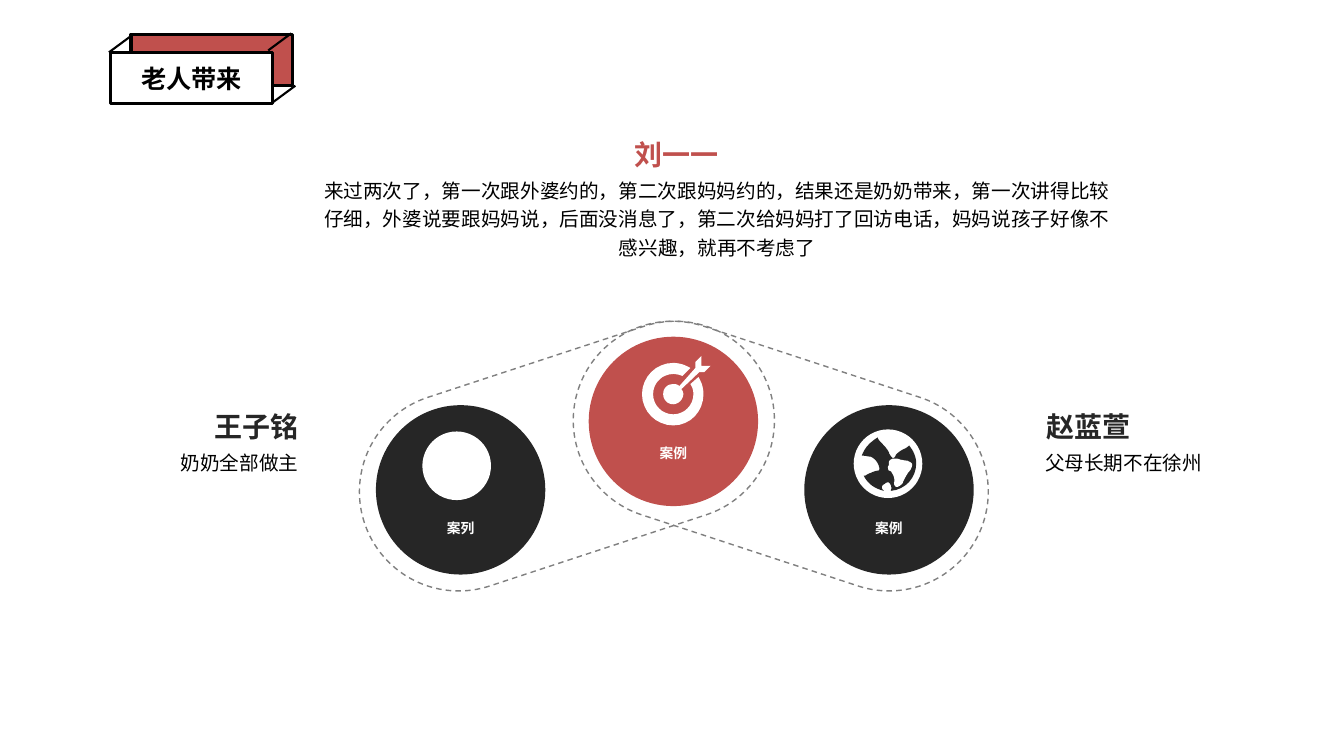
"""Build the slide of family case examples around three linked circles."""
from lxml.etree import SubElement
from pptx import Presentation
from pptx.dml.color import RGBColor
from pptx.enum.dml import MSO_LINE
from pptx.enum.shapes import MSO_CONNECTOR, MSO_SHAPE
from pptx.enum.text import MSO_ANCHOR, PP_ALIGN
from pptx.oxml.ns import qn
from pptx.util import Pt

FONT = "Noto Sans CJK SC"
RED, DARK, WHITE, BLACK, GREY = "C0504D", "262626", "FFFFFF", "000000", "808080"
LEFT, CENTER, RIGHT = PP_ALIGN.LEFT, PP_ALIGN.CENTER, PP_ALIGN.RIGHT

TITLE = "老人带来"
CIRCLE_SIZE = 121
CIRCLES = [
    ("案例", 481, 240.5, 317.5, RED),
    ("案列", 329, 289.4, 371.5, DARK),
    ("案例", 635, 289.4, 371.5, DARK),
]
CAPSULES = [(252.7, -18.2), (405.4, 18.2)]
CASES = [
    ("赵蓝萱", DARK, (740.2, 288.7), "父母长期不在徐州", (739.4, 315.4, 173.5), LEFT),
    ("王子铭", DARK, (115.9, 288.7), "奶奶全部做主", (46.8, 315.4, 173.5), RIGHT),
    ("刘一一", RED, (431.3, 94.3),
     "来过两次了，第一次跟外婆约的，第二次跟妈妈约的，结果还是奶奶带来，"
     "第一次讲得比较仔细，外婆说要跟妈妈说，后面没消息了，第二次给妈妈打了回访电话，"
     "妈妈说孩子好像不感兴趣，就再不考虑了", (220.3, 121, 583.9), CENTER),
]
TITLE_BOXES = [(93.6, 24.5, RED), (79.2, 37.4, WHITE)]
TITLE_EDGES = [(94.3, 25.2), (208.1, 23.8), (211, 61.2)]

ICON_SIZE = 49
TARGET_AT, BADGE_AT, GLOBE_AT = (458.6, 254.2), (301.7, 308.2), (609.8, 306.7)
TARGET_RING = [
    (48, 28), (50, 31, 51, 34, 51, 38), (51, 49, 42, 58, 31, 58),
    (20, 58, 11, 49, 11, 38), (11, 27, 20, 18, 31, 18), (34, 18, 38, 19, 40, 20),
    (48, 12), (43, 9, 37, 7, 31, 7), (14, 7, 0, 21, 0, 38),
    (0, 55, 14, 69, 31, 69), (48, 69, 61, 55, 61, 38), (61, 31, 59, 26, 56, 21),
]
TARGET_ARROW = [
    (59, 10), (59, 0), (53, 6), (53, 12), (37, 30), (35, 28, 33, 28, 31, 28),
    (25, 28, 21, 32, 21, 38), (21, 43, 25, 48, 31, 48), (36, 48, 41, 43, 41, 38),
    (41, 36, 40, 34, 39, 33), (57, 16), (62, 16), (68, 10),
]
GLOBE_SEA = [
    (37, 61), (37, 60), (38, 58, 37, 55, 36, 54), (35, 52, 33, 52, 31, 54),
    (28, 55, 27, 58, 29, 60), (30, 61), (21, 59, 14, 54, 10, 46),
    (11, 46, 12, 46, 13, 45), (17, 43, 22, 41, 24, 41), (26, 41, 26, 38, 24, 34),
    (22, 30, 18, 27, 16, 27), (14, 27, 11, 26, 8, 26), (11, 18, 17, 12, 24, 8),
    (24, 9), (25, 11, 28, 14, 30, 16), (32, 18, 34, 21, 35, 23),
    (35, 24, 37, 27, 38, 28), (40, 29, 41, 28, 42, 25), (44, 23, 48, 20, 51, 19),
    (53, 18, 54, 17, 55, 16), (59, 21, 62, 27, 62, 34), (62, 48, 51, 60, 37, 61),
]
GLOBE_LAND = [
    (53, 31), (50, 31, 47, 30, 46, 30), (44, 29, 42, 29, 39, 29),
    (36, 30, 35, 31, 35, 33), (35, 34, 35, 36, 34, 37), (34, 38, 34, 40, 35, 41),
    (37, 41, 38, 43, 39, 45), (40, 47, 41, 50, 40, 53), (40, 56, 42, 58, 44, 57),
    (46, 56, 49, 54, 49, 52), (50, 50, 52, 46, 54, 43), (57, 40, 58, 37, 58, 35),
    (58, 33, 55, 32, 53, 31),
]
OUTLINES = [
    (TARGET_RING, TARGET_AT, WHITE), (TARGET_ARROW, TARGET_AT, WHITE),
    (GLOBE_SEA, GLOBE_AT, DARK), (GLOBE_LAND, GLOBE_AT, WHITE),
]
CURVE_STEPS = 8
UNITS_PER_STEP = 10


def color(target, value):
    target.rgb = RGBColor.from_string(value)


def paint(shape, fill=None, line=None, width=1):
    shape.shadow.inherit = False
    if fill:
        shape.fill.solid()
        color(shape.fill.fore_color, fill)
    else:
        shape.fill.background()
    if line:
        color(shape.line.color, line)
        shape.line.width = Pt(width)
    else:
        shape.line.fill.background()


def add_preset(kind, left, top, width, height, fill=None, line=None, line_width=1):
    shape = slide.shapes.add_shape(kind, Pt(left), Pt(top), Pt(width), Pt(height))
    paint(shape, fill, line, line_width)
    return shape


def write(shape, text, size, text_color, align, bold=False):
    paragraph = shape.text_frame.paragraphs[0]
    paragraph.text = text
    paragraph.alignment = align
    font = paragraph.runs[0].font
    font.name, font.size, font.bold = FONT, Pt(size), bold
    color(font.color, text_color)
    SubElement(paragraph.runs[0]._r.get_or_add_rPr(), qn("a:ea")).set("typeface", FONT)
    return paragraph


def add_text(left, top, width, height, text, size, text_color, align, bold=False, wrap=False):
    box = slide.shapes.add_textbox(Pt(left), Pt(top), Pt(width), Pt(height))
    box.text_frame.word_wrap = wrap
    return box, write(box, text, size, text_color, align, bold)


def trace(segments):
    """Turn corners and cubic curves into a list of points."""
    points = [segments[0]]
    for segment in segments[1:]:
        if len(segment) == 2:
            points.append(segment)
            continue
        knots = [points[-1], segment[:2], segment[2:4], segment[4:]]
        for step in range(1, CURVE_STEPS + 1):
            t = step / CURVE_STEPS
            weights = ((1 - t) ** 3, 3 * t * (1 - t) ** 2, 3 * t * t * (1 - t), t ** 3)
            points.append(tuple(sum(w * knot[axis] for w, knot in zip(weights, knots))
                                for axis in (0, 1)))
    return points


def add_outline(segments, origin, fill):
    points = [(round(x * UNITS_PER_STEP), round(y * UNITS_PER_STEP)) for x, y in trace(segments)]
    builder = slide.shapes.build_freeform(*points[0], scale=Pt(0.72) / UNITS_PER_STEP)
    builder.add_line_segments(points[1:], close=True)
    paint(builder.convert_to_shape(Pt(origin[0]), Pt(origin[1])), fill)


presentation = Presentation()
presentation.slide_width, presentation.slide_height = Pt(960), Pt(540)
slide = presentation.slides.add_slide(presentation.slide_layouts[6])

for label, center, top, label_top, fill in CIRCLES:
    add_preset(MSO_SHAPE.OVAL, center - CIRCLE_SIZE / 2, top, CIRCLE_SIZE, CIRCLE_SIZE, fill)
    box, _ = add_text(center - 32, label_top, 64, 11.5, label, 9.8, WHITE, CENTER, True)
    frame = box.text_frame
    frame.margin_left = frame.margin_right = frame.margin_top = frame.margin_bottom = 0

for left, angle in CAPSULES:
    capsule = add_preset(MSO_SHAPE.ROUNDED_RECTANGLE, left, 254.9, 304.6, 141.8, line=GREY)
    capsule.adjustments[0] = 0.5
    capsule.rotation = angle
    capsule.line.dash_style = MSO_LINE.DASH

for left, top in (BADGE_AT, GLOBE_AT):
    add_preset(MSO_SHAPE.OVAL, left, top, ICON_SIZE, ICON_SIZE, WHITE)
for outline in OUTLINES:
    add_outline(*outline)

for name, name_color, name_at, story, (left, top, width), align in CASES:
    add_text(*name_at, 104.4, 25.2, name, 20, name_color, align, bold=True)
    _, paragraph = add_text(left, top, width, 41.8, story, 14, BLACK, align, wrap=True)
    paragraph.line_spacing = 1.2

for left, top, fill in TITLE_BOXES:
    title_box = add_preset(MSO_SHAPE.RECTANGLE, left, top, 115.2, 36.7, fill, BLACK, 2.25)
title_box.text_frame.vertical_anchor = MSO_ANCHOR.MIDDLE
write(title_box, TITLE, 18, BLACK, CENTER, True)

for x, y in TITLE_EDGES:
    edge = slide.shapes.add_connector(
        MSO_CONNECTOR.STRAIGHT, Pt(x), Pt(y), Pt(x - 16.5), Pt(y + 12.2))
    color(edge.line.color, BLACK)
    edge.line.width = Pt(1.5)
    SubElement(edge._element.spPr, qn("a:effectLst"))

presentation.save("out.pptx")
